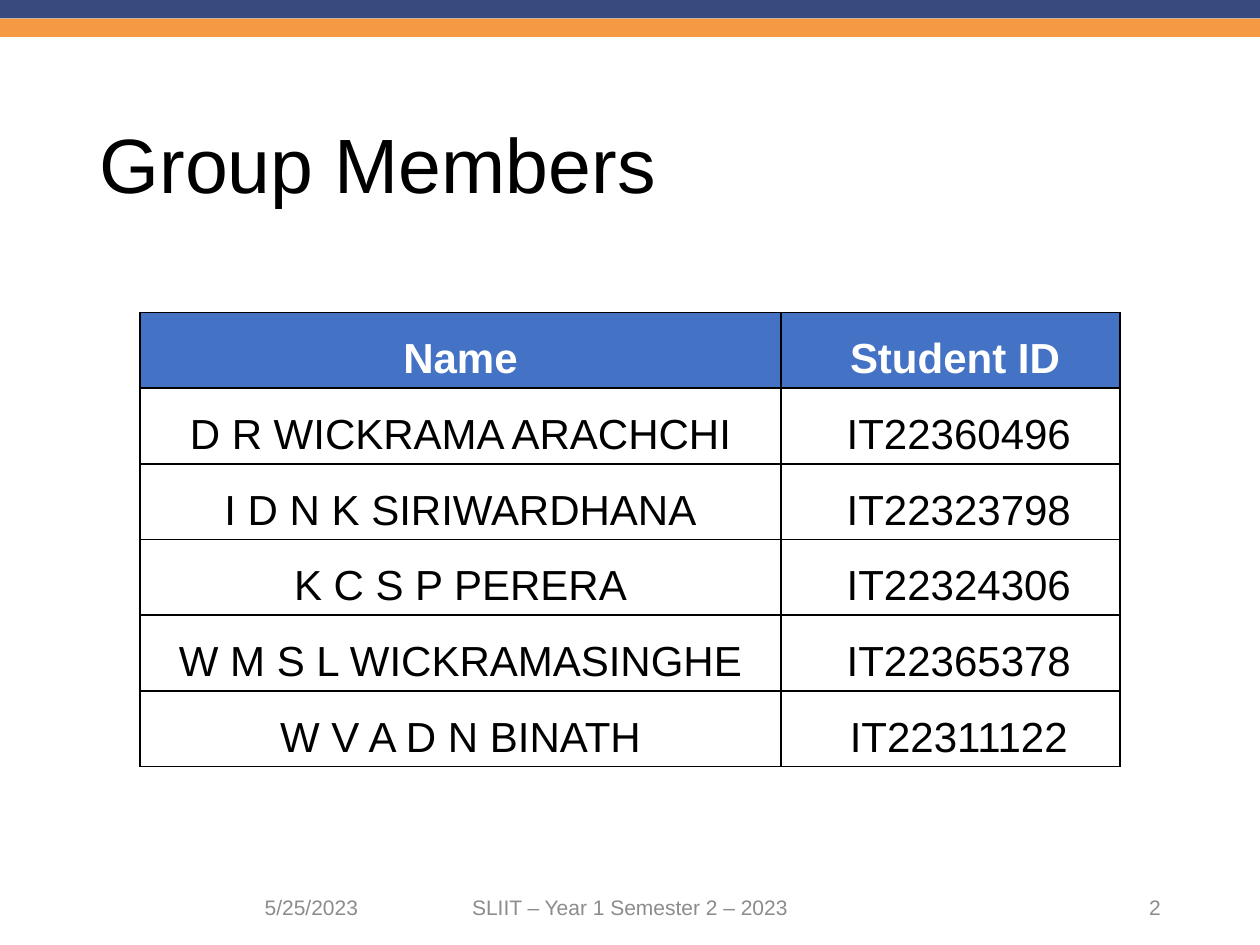
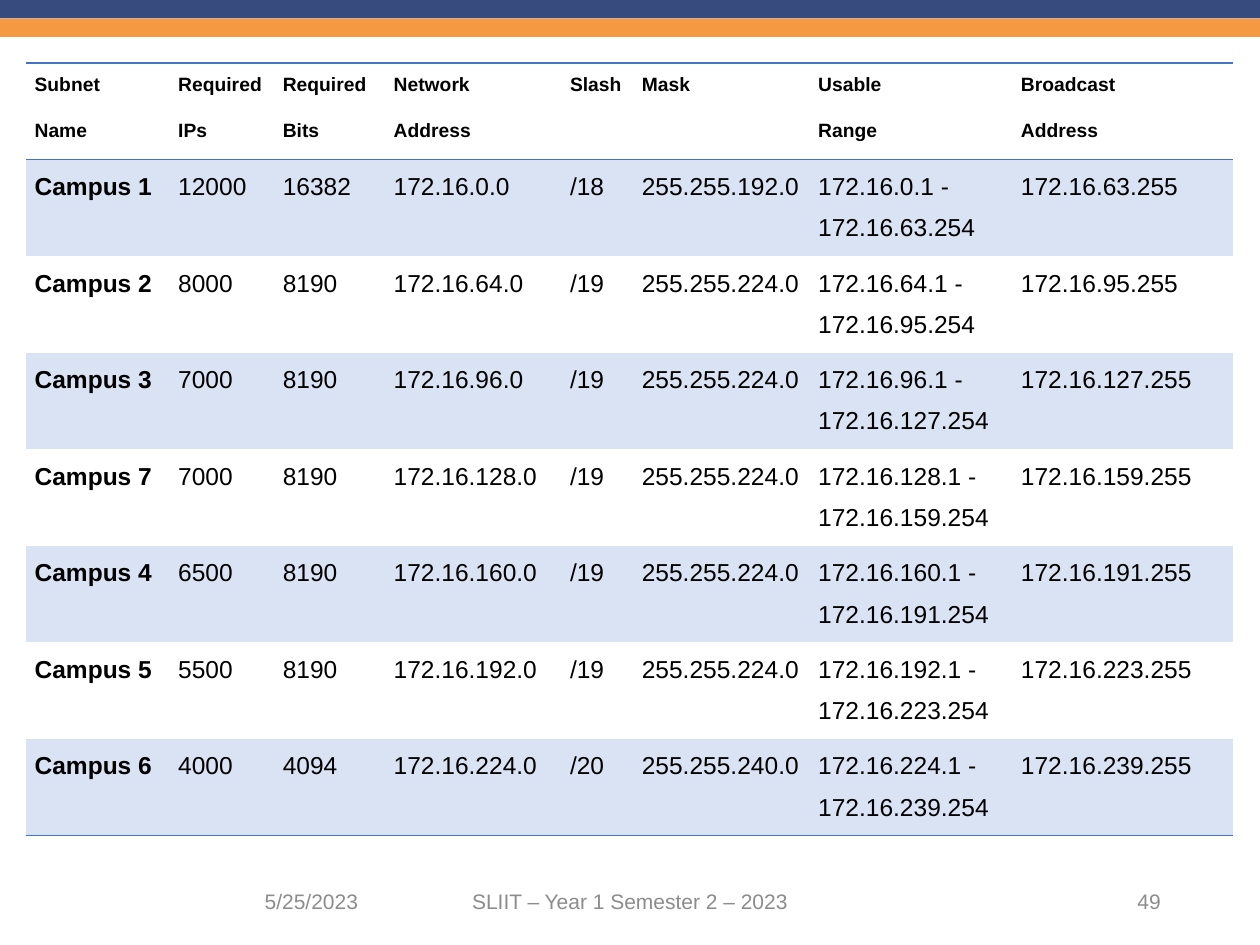
from dataclasses import dataclass

from lxml import etree
from pptx import Presentation
from pptx import util as u
from pptx.dml.color import RGBColor
from pptx.enum import shapes, text
from pptx.oxml.ns import qn


@dataclass(frozen=True)
class Theme:
    font: str = "Arial"
    navy: str = "384B7E"
    orange: str = "F59A43"
    blue: str = "4472C4"
    tint: str = "DAE3F3"
    black: str = "000000"
    white: str = "FFFFFF"
    grey: str = "8C8C8C"
    title: int = 44
    member: int = 24
    subnet: int = 14
    subnet_head: int = 11
    footer: int = 12
    spacing: float = 1.5


@dataclass(frozen=True)
class Box:
    """An area in percent of the slide's width and height."""
    left: float
    top: float
    width: float
    height: float

    def place(self):
        return (int(WIDTH * self.left / 100), int(HEIGHT * self.top / 100),
                int(WIDTH * self.width / 100), int(HEIGHT * self.height / 100))


THEME = Theme()
WIDTH, HEIGHT = u.Inches(10), u.Inches(7.5)
TITLE_ONLY, BLANK = 5, 6
NO_STYLE_NO_GRID = "{2D5ABB26-0587-4C30-8999-92F81FD0307C}"
LEFT, CENTER, RIGHT = text.PP_ALIGN.LEFT, text.PP_ALIGN.CENTER, text.PP_ALIGN.RIGHT

BANDS = Box(0, 0, 100, 3.92)
TITLE = Box(6.9, 5.07, 86.2, 19.33)
MEMBER_TABLE = Box(11.1, 33.07, 77.8, 44.6)
SUBNET_TABLE = Box(2.05, 6.67, 95.8, 81.73)
FOOTER = Box(6.9, 92.67, 86.2, 5.33)

MEMBERS = [
    ("Name", "Student ID"),
    ("D R WICKRAMA ARACHCHI", "IT22360496"),
    ("I D N K SIRIWARDHANA", "IT22323798"),
    ("K C S P PERERA", "IT22324306"),
    ("W M S L WICKRAMASINGHE", "IT22365378"),
    ("W V A D N BINATH", "IT22311122"),
]
MEMBER_COLUMNS = (5.09, 2.69)
HEAD_INDENTS = (0, 0.07)
MEMBER_INDENTS = (0, 0.13)

SUBNETS = [
    ("Subnet\nName", "Required\nIPs", "Required\nBits", "Network\nAddress",
     "Slash", "Mask", "Usable\nRange", "Broadcast\nAddress"),
    ("Campus 1", "12000", "16382", "172.16.0.0", "/18", "255.255.192.0",
     "172.16.0.1 - 172.16.63.254", "172.16.63.255"),
    ("Campus 2", "8000", "8190", "172.16.64.0", "/19", "255.255.224.0",
     "172.16.64.1 - 172.16.95.254", "172.16.95.255"),
    ("Campus 3", "7000", "8190", "172.16.96.0", "/19", "255.255.224.0",
     "172.16.96.1 - 172.16.127.254", "172.16.127.255"),
    ("Campus 7", "7000", "8190", "172.16.128.0", "/19", "255.255.224.0",
     "172.16.128.1 - 172.16.159.254", "172.16.159.255"),
    ("Campus 4", "6500", "8190", "172.16.160.0", "/19", "255.255.224.0",
     "172.16.160.1 - 172.16.191.254", "172.16.191.255"),
    ("Campus 5", "5500", "8190", "172.16.192.0", "/19", "255.255.224.0",
     "172.16.192.1 - 172.16.223.254", "172.16.223.255"),
    ("Campus 6", "4000", "4094", "172.16.224.0", "/20", "255.255.240.0",
     "172.16.224.1 - 172.16.239.254", "172.16.239.255"),
]
SUBNET_COLUMNS = (1.14, 0.83, 0.88, 1.4, 0.57, 1.4, 1.61, 1.75)


def format_text(frame, size, color, align=LEFT, bold=False, spacing=THEME.spacing, after=0):
    for para in frame.paragraphs:
        para.alignment = align
        para.line_spacing = spacing
        para.space_before = u.Pt(0)
        para.space_after = u.Pt(after)
        for span in para.runs:
            span.font.name = THEME.font
            span.font.size = u.Pt(size)
            span.font.bold = bold
            span.font.color.rgb = RGBColor.from_string(color)


def add_master_bands(master, page, box):
    """Draw the bands on a page, then move them to the master all pages share."""
    height = box.height / 2
    for row, color in enumerate((THEME.navy, THEME.orange)):
        area = Box(box.left, box.top + row * height, box.width, height)
        band = page.shapes.add_shape(shapes.MSO_SHAPE.RECTANGLE, *area.place())
        band.shadow.inherit = False
        band.fill.solid()
        band.fill.fore_color.rgb = RGBColor.from_string(color)
        band.line.fill.background()
        master.shapes.element.append(band.element)


def add_footer(page, box, number, spacing):
    side, middle = box.width * 0.261, box.width * 0.392
    parts = (
        ("5/25/2023", 0, side, RIGHT),
        ("SLIIT – Year 1 Semester 2 – 2023", (box.width - middle) / 2, middle, CENTER),
        (str(number), box.width - side, side, RIGHT),
    )
    for words, offset, width, align in parts:
        area = Box(box.left + offset, box.top, width, box.height)
        frame = page.shapes.add_textbox(*area.place()).text_frame
        frame.word_wrap = True
        frame.vertical_anchor = text.MSO_ANCHOR.MIDDLE
        frame.text = words
        format_text(frame, THEME.footer, THEME.grey, align, spacing=spacing)


def add_title(page, box, words):
    title = page.shapes.title
    title.left, title.top, title.width, title.height = box.place()
    frame = title.text_frame
    frame.text = words
    frame.auto_size = text.MSO_AUTO_SIZE.NONE
    frame.vertical_anchor = text.MSO_ANCHOR.MIDDLE
    format_text(frame, THEME.title, THEME.black)


def add_grid(page, box, rows, columns):
    """Add a plain table whose columns share the box by weight; rows are equal."""
    left, top, width, height = box.place()
    frame = page.shapes.add_table(len(rows), len(columns), left, top, width, height)
    for style in frame.element.iter(qn("a:tableStyleId")):
        style.text = NO_STYLE_NO_GRID
    table = frame.table
    table.first_row = table.horz_banding = False
    for column, weight in zip(table.columns, columns):
        column.width = int(width * weight / sum(columns))
    for r, row in enumerate(rows):
        for c, words in enumerate(row):
            table.cell(r, c).text = words
    return table


def set_margins(cell, left, right):
    cell.margin_left, cell.margin_right = u.Inches(left), u.Inches(right)
    cell.margin_top = cell.margin_bottom = 0


def set_borders(cell, sides, color):
    """Draw 1 pt lines on the given sides, listed in the order L, R, T, B."""
    properties = cell._tc.get_or_add_tcPr()
    for side in sides:
        line = etree.SubElement(properties, qn(f"a:ln{side}"), w=str(u.Pt(1)))
        fill = etree.SubElement(line, qn("a:solidFill"))
        etree.SubElement(fill, qn("a:srgbClr"), val=color)


def fill_cell(cell, color):
    cell.fill.solid()
    cell.fill.fore_color.rgb = RGBColor.from_string(color)


def add_member_table(page, box):
    table = add_grid(page, box, MEMBERS, MEMBER_COLUMNS)
    for r in range(len(MEMBERS)):
        head = r == 0
        for c, indent in enumerate(HEAD_INDENTS if head else MEMBER_INDENTS):
            cell = table.cell(r, c)
            set_margins(cell, indent, 0)
            set_borders(cell, "LRTB", THEME.black)
            fill_cell(cell, THEME.blue if head else THEME.white)
            format_text(cell.text_frame, THEME.member,
                        THEME.white if head else THEME.black, CENTER, bold=head)


def add_subnet_table(page, box):
    table = add_grid(page, box, SUBNETS, SUBNET_COLUMNS)
    last = len(SUBNETS) - 1
    for r in range(len(SUBNETS)):
        head = r == 0
        sides = "TB" if head else "B" if r == last else ""
        for c in range(len(SUBNET_COLUMNS)):
            cell = table.cell(r, c)
            set_margins(cell, 0.07, 0.07)
            set_borders(cell, sides, THEME.blue)
            if r % 2:
                fill_cell(cell, THEME.tint)
            else:
                cell.fill.background()
            format_text(cell.text_frame, THEME.subnet_head if head else THEME.subnet,
                        THEME.black, bold=head or c == 0, after=8)


def add_page(deck, layout, number, footer_spacing):
    page = deck.slides.add_slide(deck.slide_layouts[layout])
    add_footer(page, FOOTER, number, footer_spacing)
    return page


def main():
    deck = Presentation()
    deck.slide_width, deck.slide_height = WIDTH, HEIGHT

    members = add_page(deck, TITLE_ONLY, 2, THEME.spacing)
    add_master_bands(deck.slide_master, members, BANDS)
    add_title(members, TITLE, "Group Members")
    add_member_table(members, MEMBER_TABLE)

    subnets = add_page(deck, BLANK, 49, 1)
    add_subnet_table(subnets, SUBNET_TABLE)

    deck.save("out.pptx")


if __name__ == "__main__":
    main()
